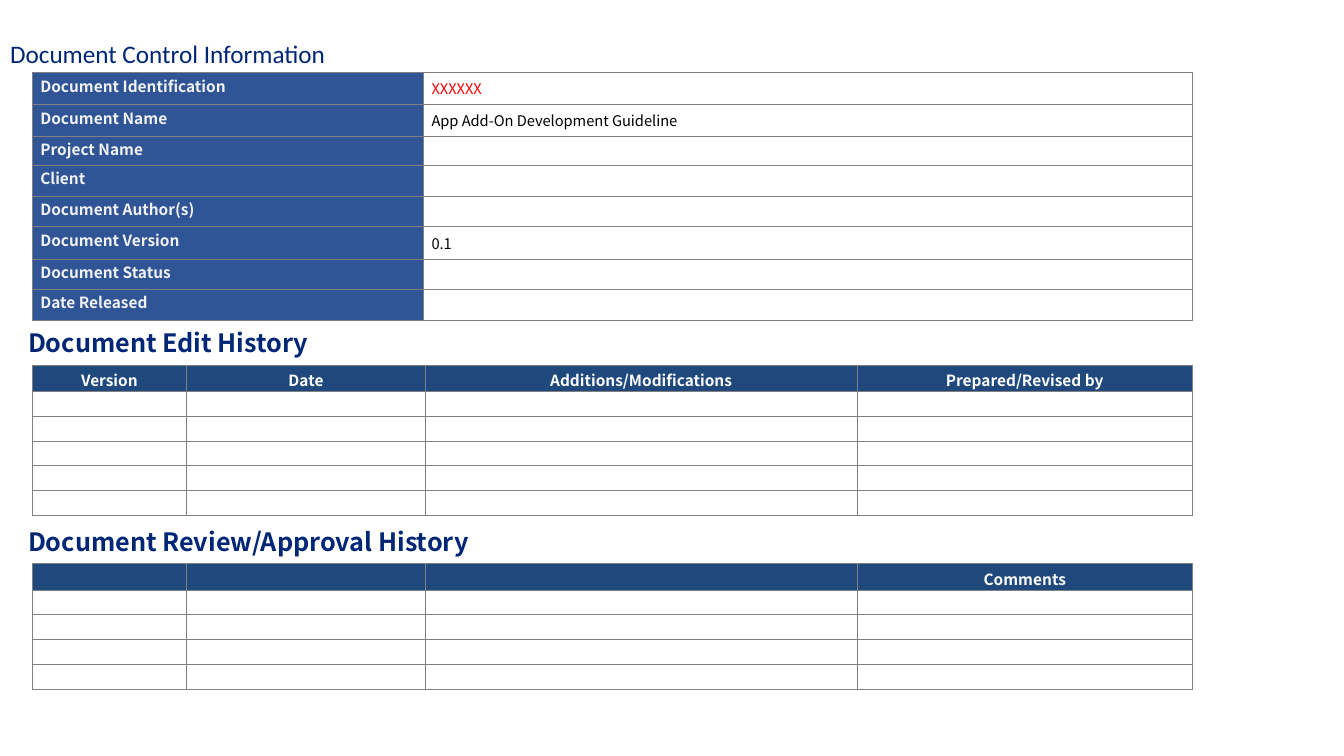
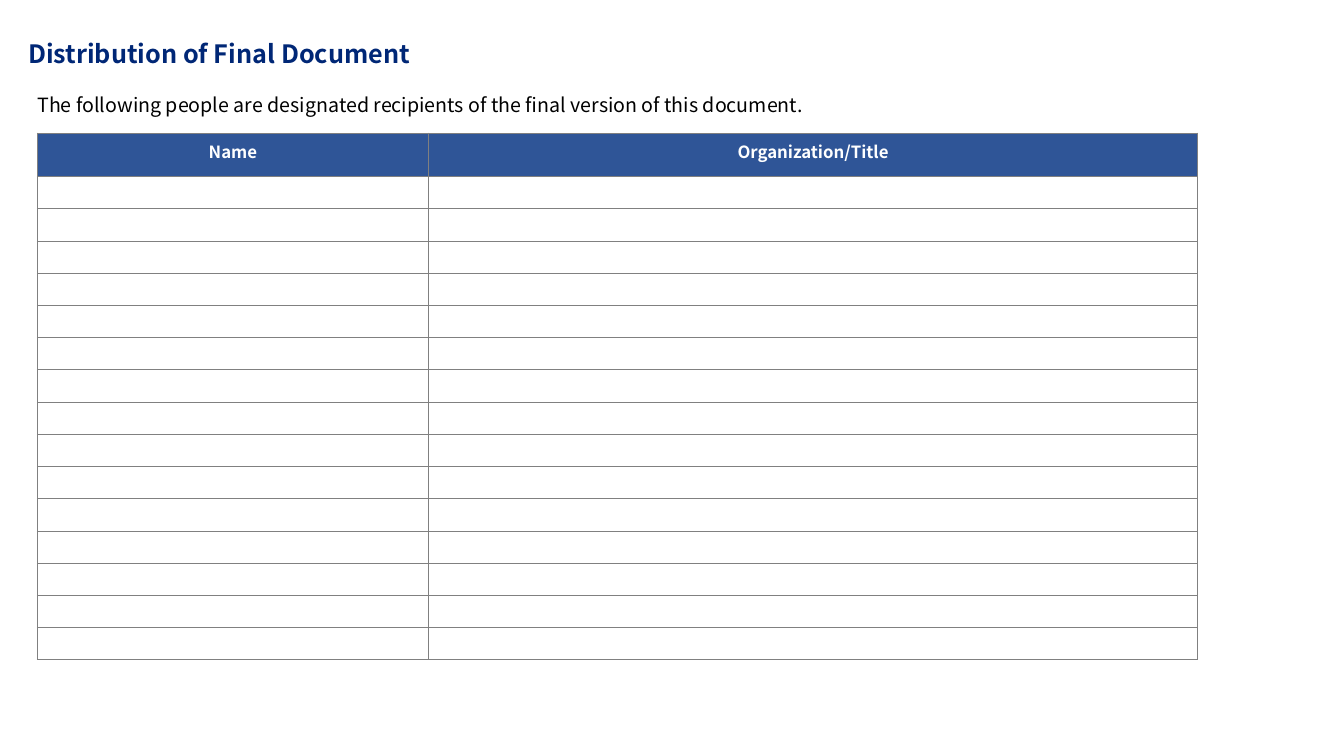
from dataclasses import dataclass

from lxml import etree
from pptx import Presentation
from pptx.dml.color import RGBColor as Rgb
from pptx.enum.text import MSO_ANCHOR as Anchor, MSO_AUTO_SIZE as Fit, PP_ALIGN as Align
from pptx.oxml.ns import qn
from pptx.util import Inches, Pt


@dataclass(frozen=True)
class Theme:
    sans: str = "Noto Sans CJK JP"
    plain: str = "Calibri"
    navy: str = "002776"
    blue: str = "2F5597"
    deep: str = "1F497D"
    grey: str = "808080"
    pale: str = "F2F2F2"
    white: str = "FFFFFF"
    black: str = "000000"
    red: str = "FF0000"
    head: float = 18
    body: float = 14
    large: float = 12
    label: float = 11
    value: float = 10.5
    blank: float = 8
    rule: float = 0.5


T = Theme()


def write(frame, text, size, color, bold=False, font=T.sans, align=Align.LEFT,
          line=None, before=0, after=0):
    """Fill a text frame with one styled paragraph."""
    frame.text = text
    par = frame.paragraphs[0]
    par.alignment = align
    par.space_before, par.space_after = Pt(before), Pt(after)
    if line:
        par.line_spacing = line
    for run in par.runs:
        run.font.name, run.font.size, run.font.bold = font, Pt(size), bold
        run.font.color.rgb = Rgb.from_string(color)


def place(shape, box):
    shape.left, shape.top, shape.width, shape.height = map(Inches, box)


def inset(part, side, edge):
    """Set the margins of a cell or a text frame."""
    part.margin_left = part.margin_right = Inches(side)
    part.margin_top = part.margin_bottom = Inches(edge)


# Headings and notes
def title(slide, text, box, bold=True, font=T.sans, side=0, edge=0, anchor=Anchor.TOP):
    shape = slide.shapes.title
    place(shape, box)
    frame = shape.text_frame
    frame.word_wrap, frame.auto_size = True, Fit.NONE
    frame.vertical_anchor = anchor
    inset(frame, side, edge)
    write(frame, text, T.head, T.navy, bold, font, line=0.9, before=12, after=9)


def label(slide, text, box, size, color, side=0, edge=0, **style):
    frame = slide.shapes.add_textbox(*map(Inches, box)).text_frame
    frame.word_wrap = True
    inset(frame, side, edge)
    write(frame, text, size, color, **style)


def section(slide, text, top):
    label(slide, text, (0.18, top, 6.67, 0.4), T.head, T.navy, 0.1, 0.05,
          bold=True, before=12, after=9)


# Tables
def border(cell):
    props = cell._tc.get_or_add_tcPr()
    for spot, side in enumerate(("a:lnL", "a:lnR", "a:lnT", "a:lnB")):
        line = etree.Element(qn(side), w=str(Pt(T.rule)))
        fill = etree.SubElement(line, qn("a:solidFill"))
        etree.SubElement(fill, qn("a:srgbClr"), val=T.grey)
        props.insert(spot, line)


def clear(cell):
    """Keep an empty cell from stretching its row."""
    par = cell.text_frame.paragraphs[0]
    etree.SubElement(par._p, qn("a:endParaRPr"), sz=str(int(T.blank * 100)))


def grid(slide, left, top, cols, rows, edge):
    """Add a bordered white table with the given column and row sizes."""
    frame = slide.shapes.add_table(len(rows), len(cols), Inches(left), Inches(top),
                                   Inches(sum(cols)), Inches(sum(rows)))
    table = frame.table
    table.first_row = table.horz_banding = False
    for col, width in zip(table.columns, cols):
        col.width = Inches(width)
    for row, height in zip(table.rows, rows):
        row.height = Inches(height)
    for cell in table.iter_cells():
        inset(cell, 0.08, edge)
        cell.vertical_anchor = Anchor.MIDDLE
        paint(cell, T.white)
        border(cell)
        clear(cell)
    return table


def paint(cell, color):
    cell.fill.solid()
    cell.fill.fore_color.rgb = Rgb.from_string(color)


def fill(cell, text, *args, **style):
    if text:
        write(cell.text_frame, text, *args, **style)


def sheet(slide, left, top, cols, rows, heads, color, size, edge, line=None):
    """Add an empty form with a coloured header row."""
    table = grid(slide, left, top, cols, rows, edge)
    for cell, text in zip(table.rows[0].cells, heads):
        paint(cell, color)
        fill(cell, text, size, T.white, bold=True, align=Align.CENTER,
             line=line, before=3, after=3)


def facts(slide, left, top, cols, items):
    """Add a table of labels and values; items hold height, label, value, colour, line."""
    table = grid(slide, left, top, cols, [item[0] for item in items], 0.06)
    for row, (_, name, value, color, line) in zip(table.rows, items):
        key, val = row.cells
        paint(key, T.blue)
        fill(key, name, T.label, T.pale, bold=True, line=Pt(12), after=6)
        fill(val, value, T.value, color, line=line, after=6)


PAIR = (3.88, 7.63)
LOG = (1.53, 2.37, 4.28, 3.33)
FACTS = (
    (0.31, "Document Identification", "XXXXXX", T.red, Pt(14)),
    (0.32, "Document Name", "App Add-On Development Guideline", T.black, Pt(14)),
    (0.29, "Project Name", "", T.black, None),
    (0.3, "Client", "", T.black, None),
    (0.3, "Document Author(s)", "", T.black, None),
    (0.29, "Document Version", "0.1", T.black, None),
    (0.3, "Document Status", "", T.black, None),
    (0.3, "Date Released", "", T.black, None),
)
LOGS = (
    ("Document Edit History", 3.2, 5,
     ("Version", "Date", "Additions/Modifications", "Prepared/Revised by")),
    ("Document Review/Approval History", 5.17, 4, ("", "", "", "Comments")),
)


# Slides
def control(slide):
    title(slide, "Document Control Information", (0, 0.41, 12.59, 0.27), False,
          T.plain, 0.1, 0.05, Anchor.MIDDLE)
    facts(slide, 0.32, 0.72, PAIR, FACTS)
    for text, top, count, heads in LOGS:
        section(slide, text, top)
        sheet(slide, 0.32, top + 0.42, LOG, [0.26] + [0.246] * count, heads,
              T.deep, T.label, 0.04)


def share(slide):
    title(slide, "Distribution of Final Document", (0.28, 0.41, 12.59, 0.27))
    label(slide, "The following people are designated recipients of the final "
          "version of this document.", (0.37, 0.9, 12.31, 0.42), T.body, T.black, line=1.1)
    sheet(slide, 0.37, 1.32, PAIR, [0.43] + [0.32] * 15, ("Name", "Organization/Title"),
          T.blue, T.large, 0.01, Pt(12))


def main():
    deck = Presentation()
    deck.slide_width, deck.slide_height = Inches(13.33), Inches(7.5)
    layout = deck.slide_layouts[5]
    for build in (control, share):
        build(deck.slides.add_slide(layout))
    deck.save("out.pptx")


if __name__ == "__main__":
    main()
